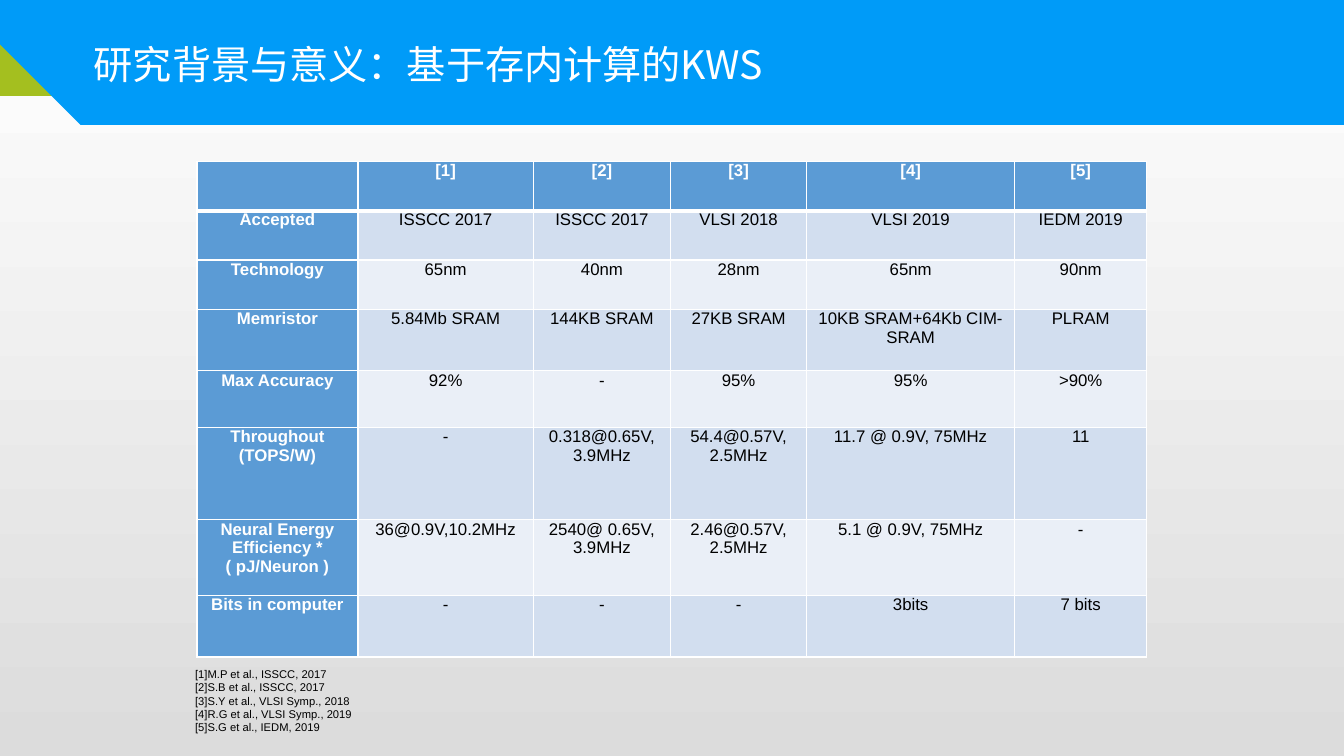
from lxml.etree import SubElement
from pptx import Presentation
from pptx.dml.color import RGBColor
from pptx.enum.shapes import MSO_SHAPE
from pptx.enum.text import MSO_ANCHOR, MSO_AUTO_SIZE, PP_ALIGN
from pptx.oxml.ns import qn
from pptx.util import Pt

COLORS = {
    "band": "009BF8", "accent": "A4BF1F", "heading": "5B9BD5",
    "odd_row": "D2DEEF", "even_row": "EAEFF7",
    "white": "FFFFFF", "black": "000000", "page_end": "DCDCDC",
}
TITLE_FONT = "Noto Sans CJK SC"
BODY_FONT = "Arial"
SLIDE_WIDTH, SLIDE_HEIGHT = 960, 540

TITLE = "研究背景与意义：基于存内计算的KWS"
COMPARISON = [
    ["", "[1]", "[2]", "[3]", "[4]", "[5]"],
    ["Accepted", "ISSCC 2017", "ISSCC 2017", "VLSI 2018", "VLSI 2019", "IEDM 2019"],
    ["Technology", "65nm", "40nm", "28nm", "65nm", "90nm"],
    ["Memristor", "5.84Mb SRAM", "144KB SRAM", "27KB SRAM",
     "10KB SRAM+64Kb CIM-SRAM", "PLRAM"],
    ["Max Accuracy", "92%", "-", "95%", "95%", ">90%"],
    ["Throughout (TOPS/W)", "-", "0.318@0.65V,\n3.9MHz", "54.4@0.57V,\n2.5MHz",
     "11.7 @ 0.9V, 75MHz", "11"],
    ["Neural Energy Efficiency *\n( pJ/Neuron )", "36@0.9V,10.2MHz",
     "2540@ 0.65V,\n3.9MHz", "2.46@0.57V,\n2.5MHz", "5.1 @ 0.9V, 75MHz", "-"],
    ["Bits in computer", "-", "-", "-", "3bits", "7 bits"],
]
COLUMN_WIDTHS = [115, 125.3, 98, 97.3, 148.5, 94.5]
ROW_HEIGHTS = [35.2, 35.2, 35.2, 44, 40.5, 66, 54, 44]
REFERENCES = [
    "[1]M.P et al., ISSCC, 2017",
    "[2]S.B et al., ISSCC, 2017",
    "[3]S.Y et al., VLSI Symp., 2018",
    "[4]R.G et al., VLSI Symp., 2019",
    "[5]S.G et al., IEDM, 2019",
]


def rgb(name):
    return RGBColor.from_string(COLORS[name])


def style_font(font, size, color, family=BODY_FONT, bold=False):
    font.name, font.size, font.bold = family, Pt(size), bold
    font.color.rgb = rgb(color)


def paint(shape, color):
    """Give a shape a plain fill with no outline or shadow."""
    shape.fill.solid()
    shape.fill.fore_color.rgb = rgb(color)
    shape.line.fill.background()
    shape.shadow.inherit = False


def set_background(slide):
    fill = slide.background.fill
    fill.gradient()
    fill.gradient_angle = 270
    for stop, position, color in zip(fill.gradient_stops, (0, 1), ("white", "page_end")):
        stop.position = position
        stop.color.rgb = rgb(color)


def add_header(slide, left, top, width, height):
    corner = slide.shapes.add_shape(
        MSO_SHAPE.RECTANGLE, Pt(left), Pt(top + 22.5), Pt(46), Pt(46))
    paint(corner, "accent")

    cut = 57.6
    right, bottom = left + width, top + height
    outline = [(right, top), (right, bottom), (left + cut, bottom), (left, bottom - cut)]
    builder = slide.shapes.build_freeform(Pt(left), Pt(top))
    builder.add_line_segments([(Pt(x), Pt(y)) for x, y in outline])
    paint(builder.convert_to_shape(), "band")

    title = slide.shapes.title
    title.left, title.top = Pt(left + 63.4), Pt(top + 25.2)
    title.width, title.height = Pt(494.6), Pt(41)
    frame = title.text_frame
    frame.text = TITLE
    frame.word_wrap = False
    frame.auto_size = MSO_AUTO_SIZE.NONE
    frame.vertical_anchor = MSO_ANCHOR.MIDDLE
    frame.margin_left = frame.margin_right = Pt(3.6)
    frame.margin_top = frame.margin_bottom = Pt(3.6)
    heading = frame.paragraphs[0]
    heading.alignment = PP_ALIGN.LEFT
    style_font(heading.font, 28, "white", TITLE_FONT)
    east_asian = SubElement(heading.font._element, qn("a:ea"))
    east_asian.set("typeface", TITLE_FONT)
    # The title must lie in front of the band.
    slide.shapes._spTree.append(title._element)


def add_border(cell, side, width):
    line = SubElement(cell._tc.get_or_add_tcPr(), qn(f"a:ln{side}"), w=str(Pt(width)))
    fill = SubElement(line, qn("a:solidFill"))
    SubElement(fill, qn("a:srgbClr"), val=COLORS["white"])


def fill_cell(cell, text, row, column):
    is_heading = row == 0 or column == 0
    thick_side = {0: "B", 1: "T"}.get(row)
    for side in "LRTB":
        add_border(cell, side, 3 if side == thick_side else 1)
    cell.fill.solid()
    stripe = "odd_row" if row % 2 else "even_row"
    cell.fill.fore_color.rgb = rgb("heading" if is_heading else stripe)
    cell.margin_left = cell.margin_right = Pt(5)
    cell.margin_top = cell.margin_bottom = 0
    cell.text = text
    for paragraph in cell.text_frame.paragraphs:
        paragraph.alignment = PP_ALIGN.CENTER
        style_font(paragraph.font, 12, "white" if is_heading else "black", bold=is_heading)


def add_comparison(slide, left, top):
    table = slide.shapes.add_table(
        len(ROW_HEIGHTS), len(COLUMN_WIDTHS), Pt(left), Pt(top),
        Pt(sum(COLUMN_WIDTHS)), Pt(sum(ROW_HEIGHTS))).table
    table.first_col = True
    for column, width in zip(table.columns, COLUMN_WIDTHS):
        column.width = Pt(width)
    for row, height in zip(table.rows, ROW_HEIGHTS):
        row.height = Pt(height)
    for row, entries in enumerate(COMPARISON):
        for column, text in enumerate(entries):
            fill_cell(table.cell(row, column), text, row, column)


def add_references(slide, left, top, width, height):
    references = slide.shapes.add_textbox(Pt(left), Pt(top), Pt(width), Pt(height))
    frame = references.text_frame
    frame.word_wrap = True
    frame.text = "\n".join(REFERENCES)
    for paragraph in frame.paragraphs:
        style_font(paragraph.font, 8, "black")


def main():
    presentation = Presentation()
    presentation.slide_width = Pt(SLIDE_WIDTH)
    presentation.slide_height = Pt(SLIDE_HEIGHT)
    title_only = presentation.slide_layouts[5]
    slide = presentation.slides.add_slide(title_only)
    set_background(slide)
    add_header(slide, 0, 0, SLIDE_WIDTH, 89.3)
    add_references(slide, 132.3, 473, 749.5, 55.4)
    add_comparison(slide, 140.7, 115.3)
    presentation.save("out.pptx")


if __name__ == "__main__":
    main()
